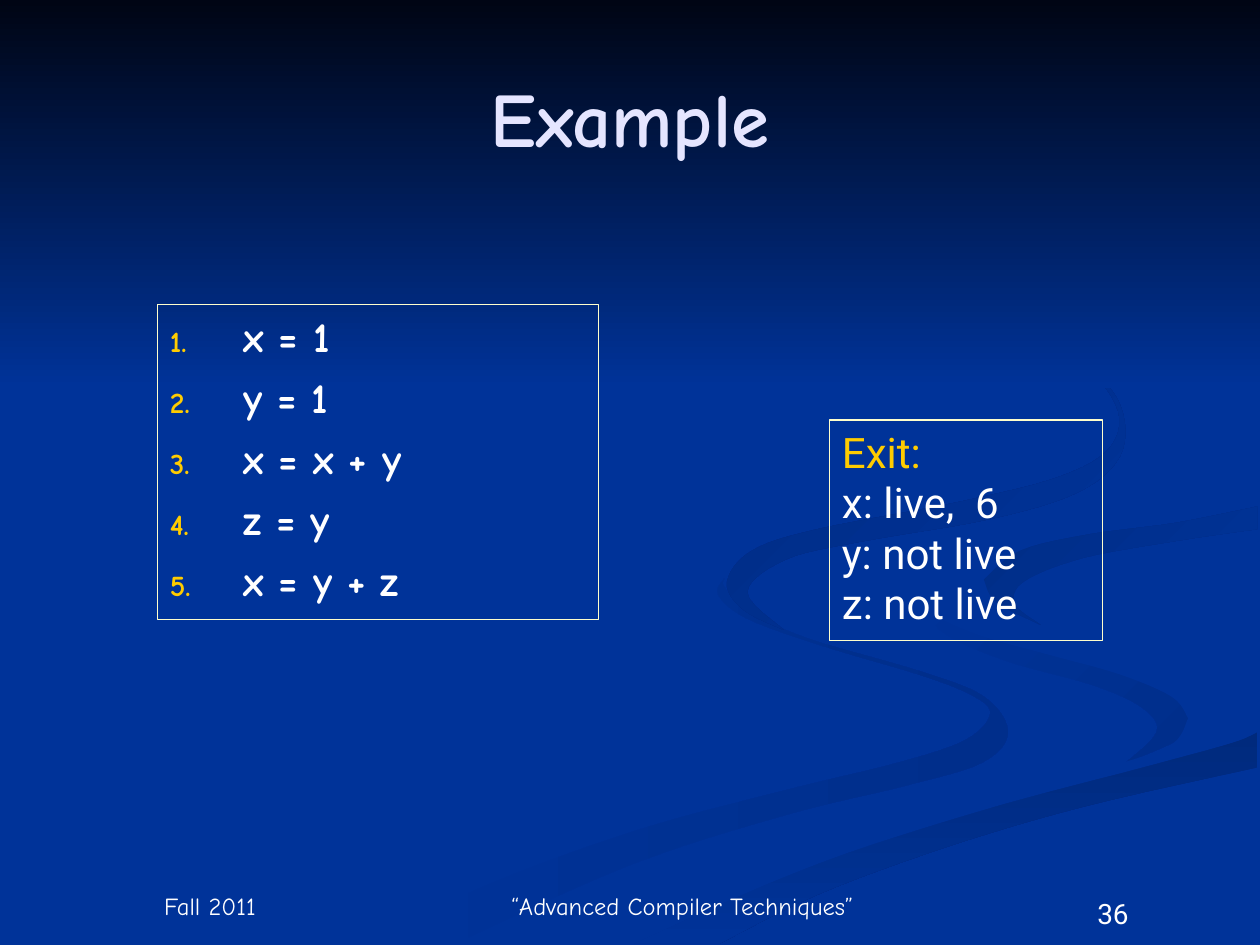
"""Build the compiler-course example slide: numbered code beside its exit liveness."""
from itertools import chain
from lxml import etree
from pptx import Presentation, util as u
from pptx.dml.color import RGBColor
from pptx.enum import shapes, text
from pptx.oxml.ns import qn

BLUE = RGBColor(0x00, 0x33, 0x99)
SHADE = RGBColor(0x00, 0x2E, 0x8B)
BANK_SHADE = RGBColor(0x00, 0x2A, 0x7D)
CREST_SHADE = RGBColor(0x00, 0x2D, 0x86)
LOOP_SHADE = RGBColor(0x00, 0x2B, 0x82)
NIGHT = RGBColor(0x00, 0x05, 0x14)
WHITE = RGBColor(0xFF, 0xFF, 0xFF)
LAVENDER = RGBColor(0xE5, 0xE5, 0xFF)
CREAM = RGBColor(0xFF, 0xFF, 0xCC)
GOLD = RGBColor(0xFF, 0xCC, 0x00)
COMIC, ROBOTO = "Comic Neue", "Roboto"
TOP, MIDDLE, BOTTOM = text.MSO_ANCHOR.TOP, text.MSO_ANCHOR.MIDDLE, text.MSO_ANCHOR.BOTTOM
RIGHTWARD, DOWNWARD, DIAGONAL = 0, 270, 315
CURVE_STEPS = 6
UNITS_PER_INCH = 1000

presentation = Presentation()
presentation.slide_width, presentation.slide_height = u.Inches(10), u.Inches(7.5)
COLUMN = presentation.slide_width / 120
ROW = presentation.slide_height / 90
slide = presentation.slides.add_slide(presentation.slide_layouts[6])
slide.background.fill.solid()
slide.background.fill.fore_color.rgb = BLUE


def smooth(knots):
    """Return points of a Catmull-Rom curve through the knots."""
    padded = [knots[0], *knots, knots[-1]]
    points = []
    for before, start, end, after in zip(padded, padded[1:], padded[2:], padded[3:]):
        for step in range(CURVE_STEPS):
            t = step / CURVE_STEPS
            points.append(tuple(
                UNITS_PER_INCH * (b + t * (c - a) / 2 + t**2 * (a - 2.5 * b + 2 * c - d / 2)
                                  + t**3 * (1.5 * (b - c) + (d - a) / 2))
                for a, b, c, d in zip(before, start, end, after)))
    return points + [tuple(UNITS_PER_INCH * value for value in knots[-1])]


def write(shape, lines, font_name, size, color, align, anchor, bold):
    """Fill a shape with evenly formatted paragraphs."""
    frame = shape.text_frame
    frame.word_wrap = True
    frame.vertical_anchor = anchor
    frame.text = "\n".join(lines)
    for paragraph in frame.paragraphs:
        paragraph.alignment = align
        paragraph.font.name = font_name
        paragraph.font.size = u.Pt(size)
        paragraph.font.bold = bold
        paragraph.font.color.rgb = color


swirl = [(7.24, 4.64), (7.33, 4.83), (7.74, 5.03), (8.3, 5.19), (8.88, 5.35), (9.3, 5.53),
         (9.43, 5.7)]
bank = [(5.03, 7.49), (5.69, 7.19), (6.3, 6.93), (6.96, 6.69), (7.97, 6.38), (9.03, 6.1),
        (9.76, 5.9), (9.98, 5.81)]
crest = [(7.81, 4.6), (8.1, 4.37), (8.65, 4.24), (9.33, 4.15), (9.98, 4.02)]

left_ribbon = [
    [(5.75, 4.59), (5.7, 4.72), (5.93, 4.91), (6.54, 5.13), (7.28, 5.35), (7.7, 5.51),
     (7.86, 5.66), (7.67, 5.87), (7.14, 6.05), (6.16, 6.29), (4.99, 6.61), (3.76, 7.07),
     (3, 7.49)],
    [(3.61, 7.49), (4.99, 6.87), (6.23, 6.47), (7.21, 6.23), (7.8, 6.05), (8, 5.81),
     (7.81, 5.53), (7.31, 5.33), (6.42, 5.07), (5.94, 4.85), (5.75, 4.66), (5.75, 4.59)]]
swirl_ribbon = [
    swirl,
    [(9.43, 5.7), (9.37, 5.86), (8.94, 6.05)],
    [(8.94, 6.05), (9.18, 5.81), (9.07, 5.62), (8.68, 5.44), (7.97, 5.24), (7.46, 5),
     (7.24, 4.64)]]
bank_ribbon = [
    bank,
    [(9.98, 6.09), (8.61, 6.4), (7.52, 6.72), (6.49, 7.1), (5.71, 7.49)]]
wide_ribbon = [
    swirl,
    [(9.43, 5.7), (9.31, 5.9), (8.92, 6.05), (8.13, 6.25), (7.04, 6.55), (5.73, 7.03),
     (4.77, 7.49)],
    bank,
    [(9.98, 5.38), (9.04, 5.19), (8.32, 4.98), (7.94, 4.8), (7.81, 4.6)],
    crest,
    [(9.98, 3.87), (9.2, 4.01), (8.3, 4.15), (7.55, 4.32), (7.24, 4.64)]]
crest_ribbon = [
    crest,
    [(9.98, 4.2), (9.36, 4.29), (8.59, 4.43), (8.12, 4.62), (8.06, 4.8), (8.26, 4.96)],
    [(8.26, 4.96), (7.91, 4.78), (7.81, 4.6)]]
loop_ribbon = [
    [(7.62, 2.33), (8.1, 2.56), (8.64, 2.91), (8.9, 3.24), (8.89, 3.62), (8.55, 3.91),
     (7.86, 4.12), (6.83, 4.3), (6.24, 4.44), (5.93, 4.7), (6.22, 5)],
    [(6.22, 5), (5.9, 4.84), (5.77, 4.62), (5.97, 4.37), (6.49, 4.2), (7.63, 3.98),
     (8.42, 3.78), (8.82, 3.54), (8.85, 3.2), (8.46, 2.79), (7.62, 2.33)]]
sky = [[(0, 0), (10, 0)], [(10, 3.08), (0, 3.08)]]

for edges, start_color, end_color, direction in (
        (left_ribbon, BLUE, SHADE, RIGHTWARD),
        (swirl_ribbon, BLUE, SHADE, DIAGONAL),
        (bank_ribbon, BANK_SHADE, BLUE, DOWNWARD),
        (wide_ribbon, BLUE, BLUE, RIGHTWARD),
        (crest_ribbon, CREST_SHADE, BLUE, DIAGONAL),
        (loop_ribbon, LOOP_SHADE, BLUE, DIAGONAL),
        (sky, NIGHT, BLUE, DOWNWARD)):
    outline = list(chain.from_iterable(smooth(edge) for edge in edges))
    builder = slide.shapes.build_freeform(*outline[0], scale=u.Inches(1) / UNITS_PER_INCH)
    builder.add_line_segments(outline[1:], close=True)
    backdrop = builder.convert_to_shape()
    backdrop.shadow.inherit = False
    backdrop.line.fill.background()
    backdrop.fill.gradient()
    backdrop.fill.gradient_angle = direction
    for stop, color in zip(backdrop.fill.gradient_stops, (start_color, end_color)):
        stop.color.rgb = color

for words, left, top, width, height, font_name, size, color, anchor, bold in (
        ("36", 96, 84.8, 20, 4.8, ROBOTO, 16, WHITE, TOP, False),
        ("Fall 2011", 6, 84, 28, 4.3, COMIC, 14, WHITE, BOTTOM, False),
        ("“Advanced Compiler Techniques”", 46, 84, 38, 4.3, COMIC, 14, WHITE, BOTTOM, False),
        ("Example", 6, 3.6, 108, 15, COMIC, 44, LAVENDER, MIDDLE, True)):
    label = slide.shapes.add_textbox(
        int(left * COLUMN), int(top * ROW), int(width * COLUMN), int(height * ROW))
    write(label, [words], font_name, size, color, text.PP_ALIGN.CENTER, anchor, bold)

code_lines = ["x = 1", "y = 1", "x = x + y", "z = y", "x = y + z"]
exit_lines = ["Exit:", "x: live,  6", "y: not live", "z: not live"]
panel_frames = []
for lines, left, top, width, height, font_name, bold in (
        (code_lines, 15, 29, 42, 30, COMIC, True),
        (exit_lines, 79, 40, 26, 21, ROBOTO, False)):
    panel = slide.shapes.add_shape(
        shapes.MSO_SHAPE.RECTANGLE,
        int(left * COLUMN), int(top * ROW), int(width * COLUMN), int(height * ROW))
    panel.shadow.inherit = False
    panel.fill.background()
    panel.line.color.rgb = CREAM
    panel.line.width = u.Pt(0.75)
    write(panel, lines, font_name, 24, WHITE, text.PP_ALIGN.LEFT, TOP, bold)
    panel_frames.append(panel.text_frame)
code_frame, exit_frame = panel_frames
exit_frame.paragraphs[0].font.color.rgb = GOLD

hanging_indent = int(7 * COLUMN)
for index, paragraph in enumerate(code_frame.paragraphs):
    paragraph.space_before = u.Pt(6 if index else 0)
    properties = paragraph._p.get_or_add_pPr()
    properties.set("marL", str(hanging_indent))
    properties.set("indent", str(-hanging_indent))
    number_color = etree.Element(qn("a:buClr"))
    etree.SubElement(number_color, qn("a:srgbClr"), val=str(GOLD))
    number_size = etree.Element(qn("a:buSzPct"), val="70000")
    number_style = etree.Element(qn("a:buAutoNum"), type="arabicPeriod")
    default_font = properties.find(qn("a:defRPr"))
    for element in (number_color, number_size, number_style):
        default_font.addprevious(element)

presentation.save("out.pptx")
